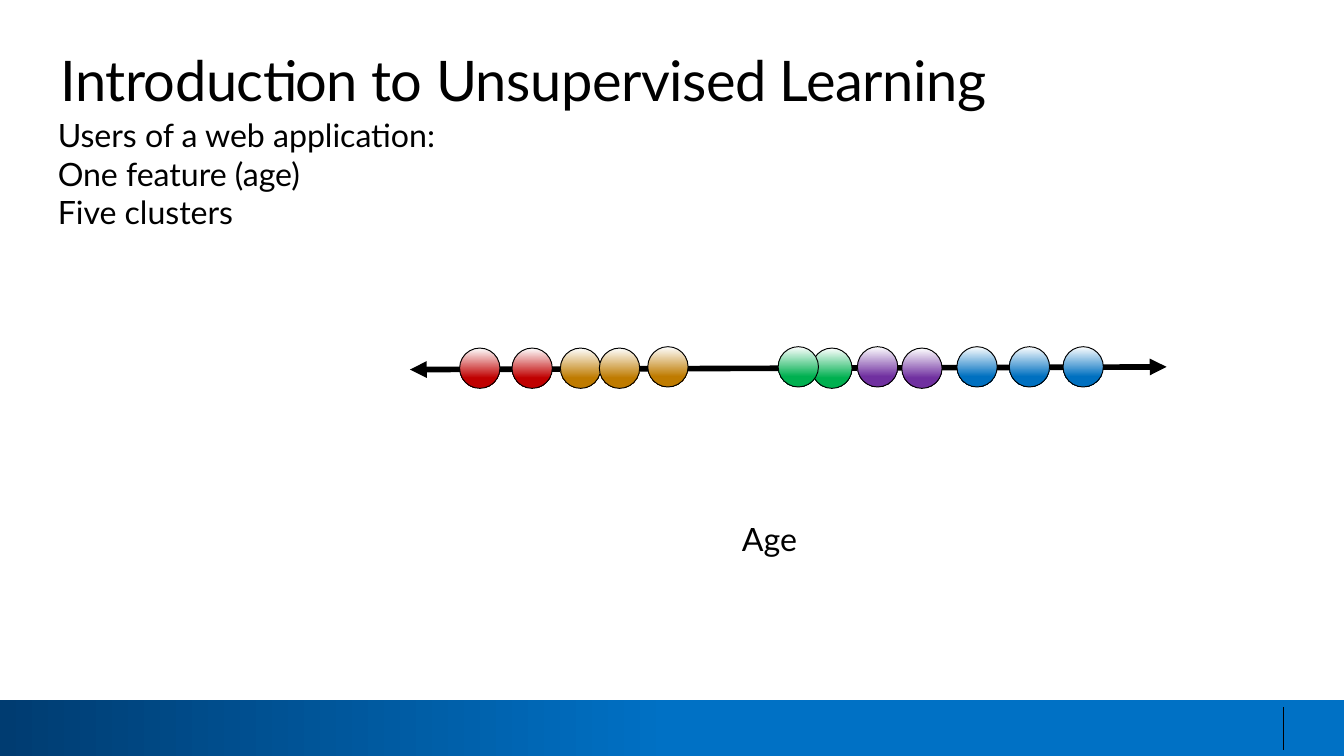
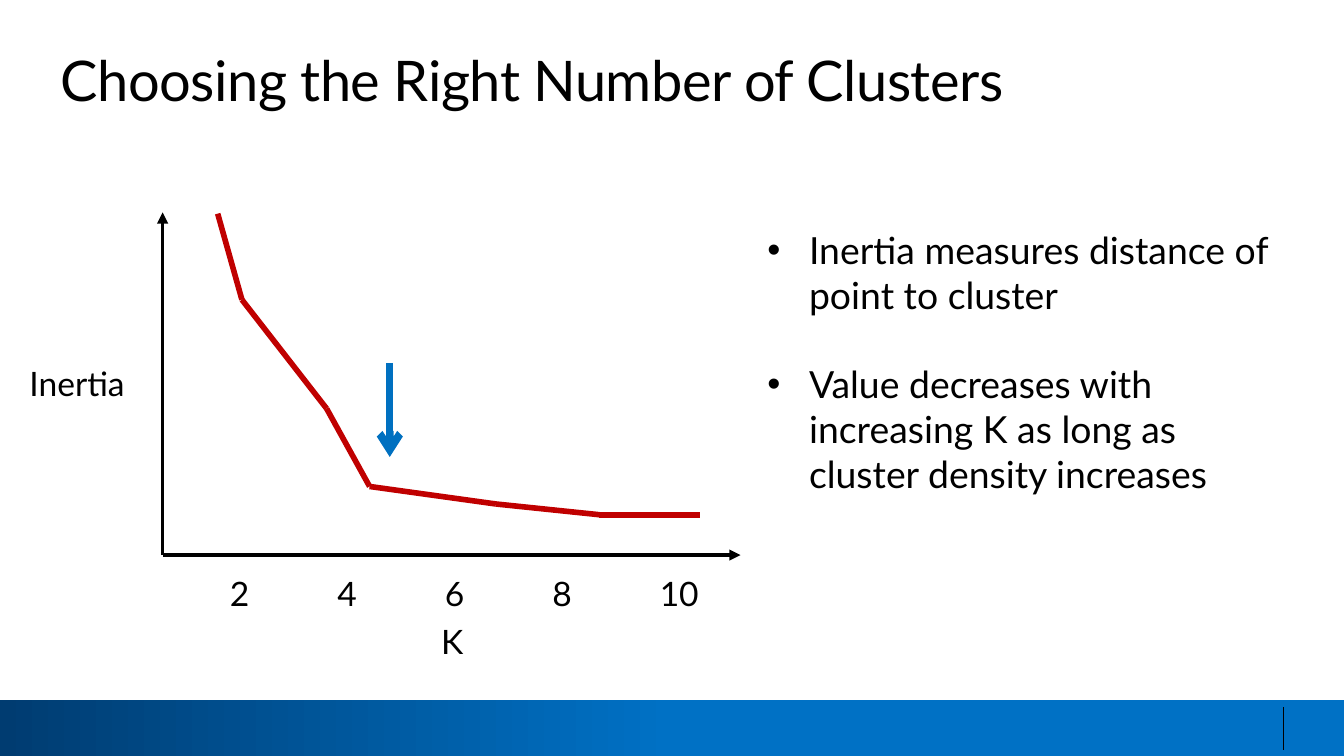
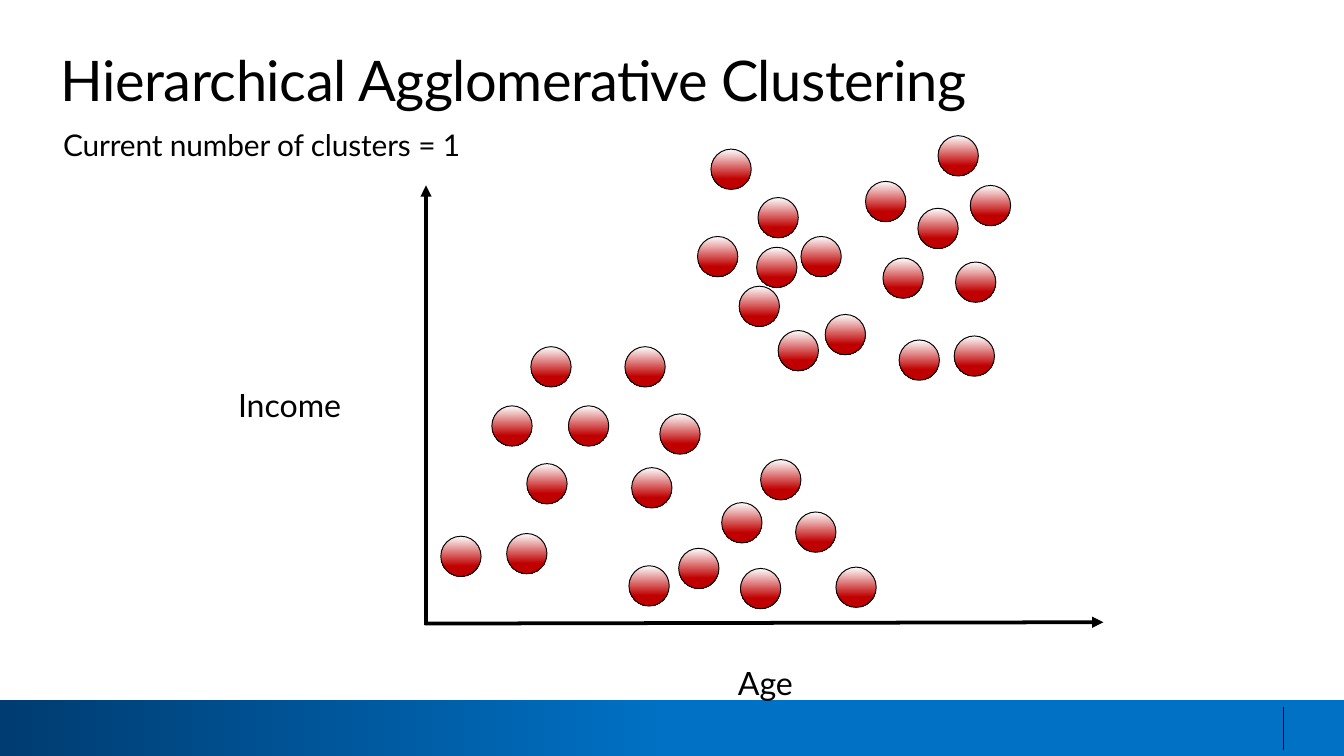
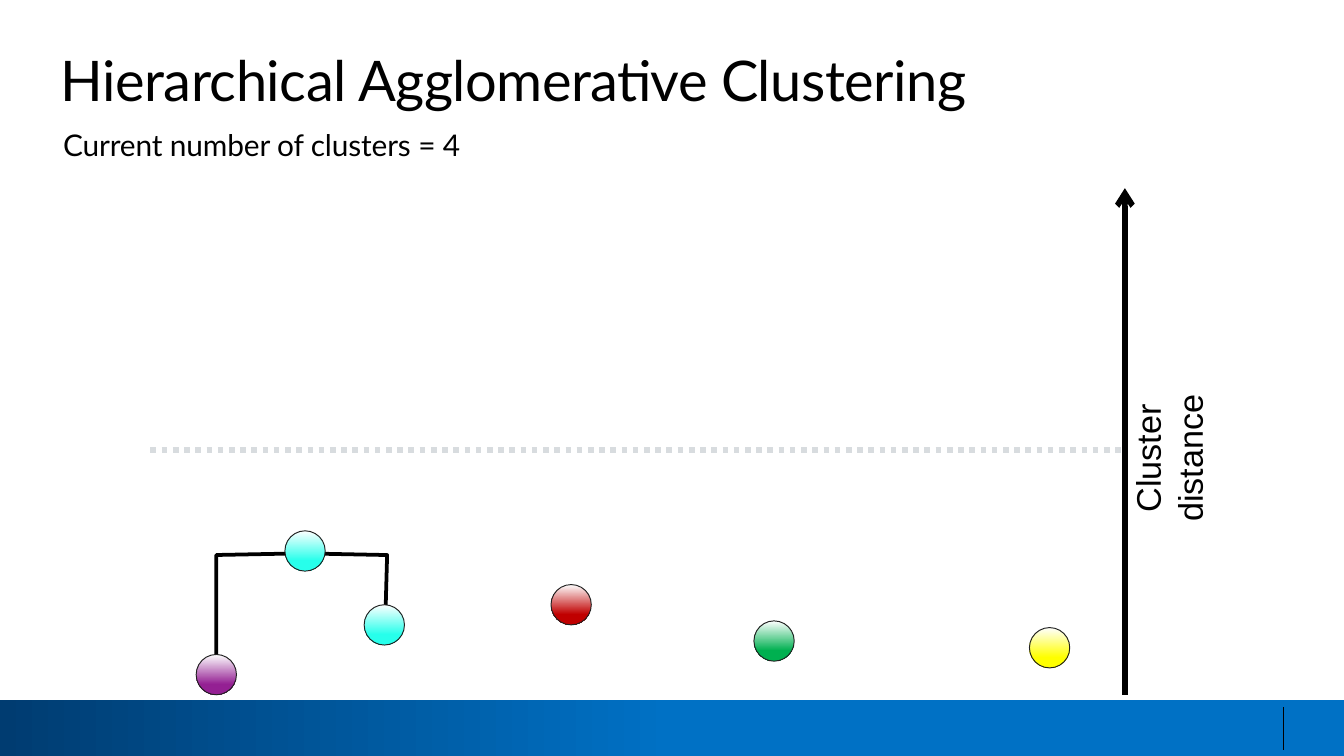
from dataclasses import dataclass, field
from itertools import pairwise

from lxml.etree import SubElement
from pptx import Presentation
from pptx.dml.color import RGBColor
from pptx.enum.dml import MSO_LINE
from pptx.enum.shapes import MSO_CONNECTOR, MSO_SHAPE
from pptx.enum.text import MSO_ANCHOR, PP_ALIGN
from pptx.oxml.ns import qn
from pptx.util import Pt

PX = 9144  # one px is a hundredth of an inch
SLIDE_WIDTH = 1000
BALL_SIZE = 30


@dataclass(frozen=True)
class Theme:
    font: str = "Lato"
    axis_font: str = "Arial"
    black: str = "000000"
    charcoal: str = "212121"
    highlight: str = "FEFFFF"
    navy: str = "003C71"
    band_blue: str = "0071C5"
    blue: str = "0070C0"
    red: str = "C00000"
    gold: str = "BF7B00"
    green: str = "00B050"
    purple: str = "7030A0"
    plum: str = "942093"
    cyan: str = "27FFEB"
    yellow: str = "FFFF00"
    grey: str = "D8DCDF"
    title_size: float = 30
    bullet_size: float = 20
    chart_size: float = 18
    label_size: float = 17.2
    counter_size: float = 16
    distance_size: float = 31.5


THEME = Theme()


@dataclass
class Line:
    points: list
    width: float
    color: str = THEME.black
    head: str = ""
    tail: str = ""
    dash: object = None


@dataclass
class Label:
    paragraphs: list
    box: tuple
    size: float = THEME.label_size
    font: str = THEME.font
    align: object = PP_ALIGN.LEFT
    anchor: object = MSO_ANCHOR.TOP
    line_spacing: object = None
    letter_spacing: int = 0  # hundredths of a point
    baseline: int = 0  # thousandths of a percent
    rotation: int = 0
    bulleted: bool = False


@dataclass
class Page:
    title: str
    lines: list
    labels: list
    balls: dict = field(default_factory=dict)
    ball_outline: str = THEME.black


def add_gradient_shape(slide, kind, box, colors, last_stop, angle):
    shape = slide.shapes.add_shape(kind, *(value * PX for value in box))
    shape.shadow.inherit = False
    shape.fill.gradient()
    shape.fill.gradient_angle = angle
    for stop, color, position in zip(shape.fill.gradient_stops, colors, (0, last_stop)):
        stop.color.rgb = RGBColor.from_string(color)
        stop.position = position
    shape.line.fill.background()
    return shape


def add_line(slide, line):
    """Draw two points as a connector and more points as an open outline."""
    if len(line.points) == 2:
        ends = [value * PX for point in line.points for value in point]
        shape = slide.shapes.add_connector(MSO_CONNECTOR.STRAIGHT, *ends)
        SubElement(shape._element.spPr, qn("a:effectLst"))
    else:
        builder = slide.shapes.build_freeform(*line.points[0], scale=PX)
        builder.add_line_segments(line.points[1:], close=False)
        shape = builder.convert_to_shape()
        shape.fill.background()
        shape.shadow.inherit = False
    shape.line.color.rgb = RGBColor.from_string(line.color)
    shape.line.width = Pt(line.width)
    if line.dash:
        shape.line.dash_style = line.dash
    for tag, arrow in (("a:headEnd", line.head), ("a:tailEnd", line.tail)):
        if arrow:
            SubElement(shape.line._get_or_add_ln(), qn(tag), type=arrow)
    return shape


counter_style = dict(box=(46, 81, 547, 40), size=THEME.counter_size,
                     line_spacing=1.5, letter_spacing=-5)
axis_style = dict(align=PP_ALIGN.CENTER, line_spacing=Pt(28.5))
tick_style = dict(size=THEME.chart_size, letter_spacing=-5)
inertia_points = [(162, 159), (180, 223), (243, 304), (275, 362), (369, 375),
                  (446, 383), (521, 383)]

pages = [
    Page(
        title="Introduction to Unsupervised Learning",
        lines=[Line([(305, 275), (868, 273)], 3, head="triangle", tail="triangle")],
        balls={
            THEME.gold: [(482, 258), (417, 259), (446, 259)],
            THEME.red: [(342, 259), (381, 259)],
            THEME.green: [(604, 259), (579, 258)],
            THEME.purple: [(671, 259), (638, 258)],
            THEME.blue: [(712, 258), (751, 258), (791, 258)],
        },
        labels=[
            Label(["Users of a web application:", "One feature (age)", "Five clusters"],
                  (42, 86, 328, 87)),
            Label(["Age"], (408, 386, 328, 29), align=PP_ALIGN.CENTER,
                  anchor=MSO_ANCHOR.MIDDLE),
        ],
    ),
    Page(
        title="Choosing the Right Number of Clusters",
        lines=[
            Line([(121, 413), (121, 158)], 2, tail="triangle"),
            Line([(121, 413), (551, 413)], 2, tail="triangle"),
            *(Line(list(segment), 3, THEME.red) for segment in pairwise(inertia_points)),
            Line([(290, 270), (290, 340)], 4, THEME.blue, tail="arrow"),
        ],
        labels=[
            Label(["Inertia"], (21, 270, 80, 32), THEME.chart_size),
            Label(["K"], (121, 462, 430, 29), align=PP_ALIGN.CENTER, **tick_style),
            Label(["Inertia measures distance of point to cluster",
                   "Value decreases with increasing K as long as cluster density increases"],
                  (570, 169, 376, 202), THEME.bullet_size, bulleted=True),
            *(Label([str(2 + 2 * index)], (170 + 80 * index, 426, 31, 32), **tick_style)
              for index in range(5)),
        ],
    ),
    Page(
        title="Hierarchical Agglomerative Clustering",
        lines=[
            Line([(317, 465), (317, 138)], 2, tail="triangle"),
            Line([(316, 464), (821, 463)], 2, tail="triangle"),
        ],
        balls={THEME.red: [
            (579, 246), (614, 234), (669, 253), (710, 250), (711, 195), (657, 192),
            (683, 155), (722, 138), (698, 101), (644, 135), (596, 176), (563, 184),
            (550, 213), (519, 176), (564, 147), (529, 111), (470, 348), (491, 308),
            (465, 258), (423, 302), (392, 345), (366, 302), (395, 258), (377, 397),
            (328, 399), (566, 342), (592, 381), (622, 422), (468, 421), (505, 408),
            (537, 374), (551, 423),
        ]},
        labels=[
            Label(["Age"], (388, 483, 362, 38), **axis_style),
            Label(["Income"], (162, 276, 106, 38), **axis_style),
            Label(["Current number of clusters = 1"], **counter_style),
        ],
    ),
    Page(
        title="Hierarchical Agglomerative Clustering",
        lines=[
            Line([(837, 517), (837, 140)], 3, tail="arrow"),
            Line([(112, 335), (837, 335)], 3, THEME.grey, dash=MSO_LINE.ROUND_DOT),
            Line([(239, 412), (288, 413), (287, 450)], 2),
            Line([(212, 412), (161, 413), (161, 489)], 2),
        ],
        balls={
            THEME.yellow: [(766, 467)],
            THEME.green: [(561, 462)],
            THEME.red: [(410, 435)],
            THEME.cyan: [(271, 450), (212, 395)],
            THEME.plum: [(146, 487)],
        },
        ball_outline=THEME.charcoal,
        labels=[
            Label(["Current number of clusters = 4"], **counter_style),
            Label(["Cluster distance"], (795, 326, 125, 31), THEME.distance_size,
                  THEME.axis_font, PP_ALIGN.CENTER, line_spacing=Pt(22.5),
                  baseline=2000, rotation=270),
        ],
    ),
]

presentation = Presentation()
presentation.slide_width = SLIDE_WIDTH * PX
presentation.slide_height = presentation.slide_width * 9 // 16
blank_layout = presentation.slide_layouts[6]
for placeholder in list(blank_layout.placeholders):
    blank_layout.shapes.element.remove(placeholder.element)

for page in pages:
    slide = presentation.slides.add_slide(blank_layout)

    # The footer band is drawn once and moved to the layout that all slides share.
    if page is pages[0]:
        band = add_gradient_shape(slide, MSO_SHAPE.RECTANGLE, (0, 521, SLIDE_WIDTH, 42),
                                  (THEME.navy, THEME.band_blue), 0.5, 0)
        divider = add_line(slide, Line([(955, 526), (955, 558)], 0.75))
        for footer_part in (band, divider):
            blank_layout.shapes.element.append(footer_part.element)

    for line in page.lines:
        add_line(slide, line)

    for color, positions in page.balls.items():
        for left, top in positions:
            ball = add_gradient_shape(slide, MSO_SHAPE.OVAL, (left, top, BALL_SIZE, BALL_SIZE),
                                      (THEME.highlight, color), 0.74, 270)
            ball.line.color.rgb = RGBColor.from_string(page.ball_outline)
            ball.line.width = Pt(0.5)

    title = Label([page.title], (44, 34, 923, 50), THEME.title_size, letter_spacing=-25)
    for label in [title, *page.labels]:
        text_box = slide.shapes.add_textbox(*(value * PX for value in label.box))
        text_box.rotation = label.rotation
        frame = text_box.text_frame
        frame.word_wrap = True
        frame.vertical_anchor = label.anchor
        frame.margin_left = frame.margin_top = frame.margin_right = frame.margin_bottom = 0
        for index, text in enumerate(label.paragraphs):
            paragraph = frame.add_paragraph() if index else frame.paragraphs[0]
            run = paragraph.add_run()
            run.text = text
            properties = paragraph._p.get_or_add_pPr()
            properties.set("marL", str((32 if label.bulleted else 1) * PX))
            if label.bulleted:
                properties.set("indent", str(-31 * PX))
                SubElement(properties, qn("a:buFont"), typeface=THEME.axis_font)
                SubElement(properties, qn("a:buChar"), char="•")
                if index:
                    paragraph.space_before = Pt(24)
            paragraph.alignment = label.align
            if label.line_spacing:
                paragraph.line_spacing = label.line_spacing
            paragraph.font.name = label.font
            paragraph.font.size = Pt(label.size)
            paragraph.font.color.rgb = RGBColor.from_string(THEME.black)
            for name, value in (("spc", label.letter_spacing), ("baseline", label.baseline)):
                if value:
                    run._r.get_or_add_rPr().set(name, str(value))

presentation.save("out.pptx")
